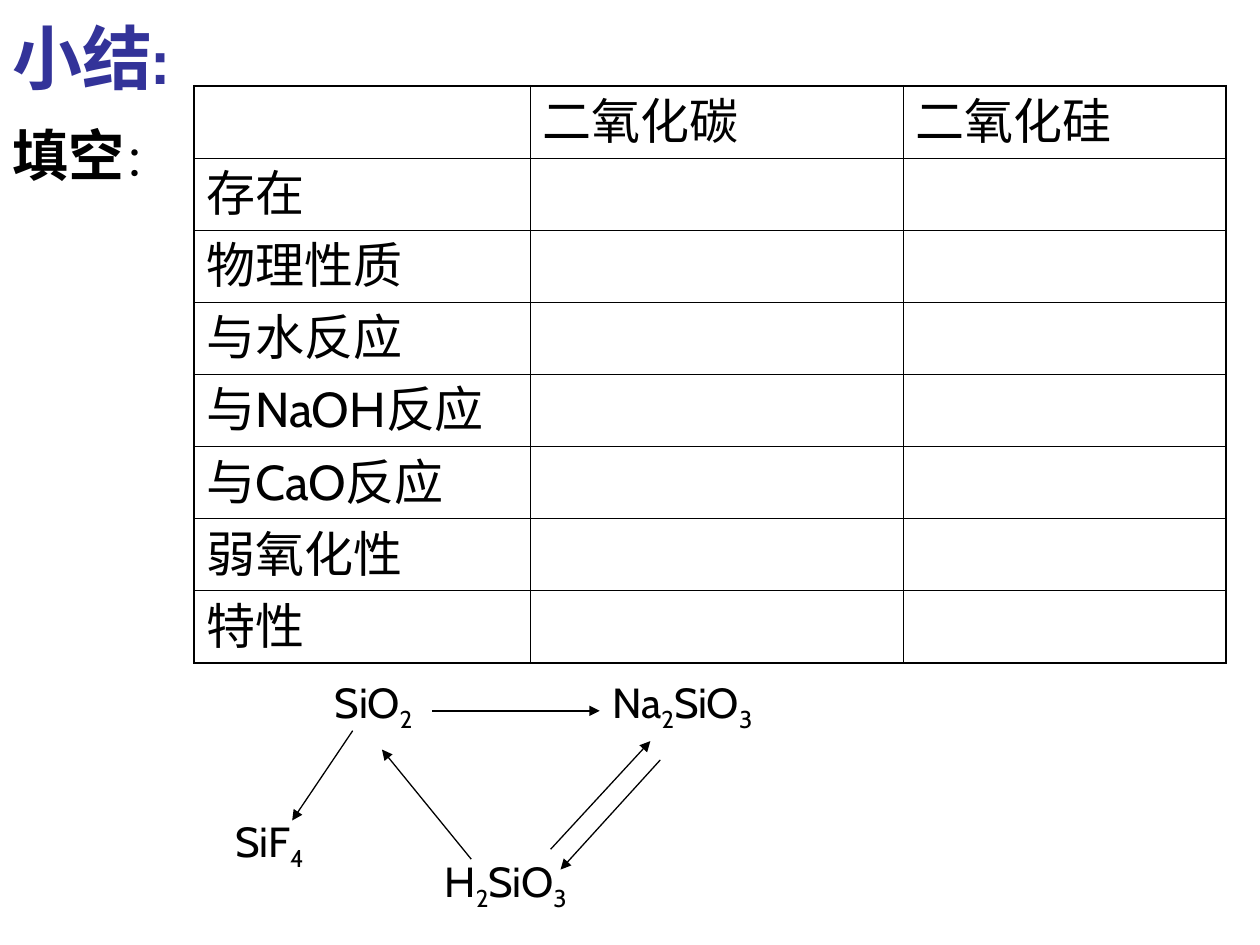
from dataclasses import dataclass

from lxml import etree
from pptx import Presentation
from pptx.dml.color import RGBColor
from pptx.enum.shapes import MSO_CONNECTOR
from pptx.enum.text import MSO_ANCHOR
from pptx.oxml.ns import qn
from pptx.util import Cm, Pt

STRAIGHT = MSO_CONNECTOR.STRAIGHT
TOP, BOTTOM = MSO_ANCHOR.TOP, MSO_ANCHOR.BOTTOM
FONT = "Cabin"
BLACK, NAVY = "000000", "333399"
OUTER_LINE, INNER_LINE = 1.08, 0.45


@dataclass
class Span:
    text: str
    size: float
    color: str = BLACK
    bold: bool = False
    subscript: bool = False


@dataclass
class Label:
    left: float
    top: float
    width: float
    height: float
    spans: list[Span]
    anchor: MSO_ANCHOR = TOP


@dataclass
class Arrow:
    start: tuple[float, float]
    end: tuple[float, float]


def rgb(color: str) -> RGBColor:
    return RGBColor.from_string(color)


def formula(text: str) -> list[Span]:
    """Split a formula such as Na_2SiO_3 into normal and subscript spans."""
    first, *others = text.split("_")
    spans = [Span(first, 24)]
    for part in others:
        spans.append(Span(part[0], 24, subscript=True))
        if part[1:]:
            spans.append(Span(part[1:], 24))
    return spans


def add_span(para, span: Span) -> None:
    run = para.add_run()
    run.text = span.text
    font = run.font
    font.name, font.size, font.bold = FONT, Pt(span.size), span.bold
    font.color.rgb = rgb(span.color)
    properties = run._r.get_or_add_rPr()
    etree.SubElement(properties, qn("a:ea"), typeface=FONT)
    if span.subscript:
        properties.set("baseline", "-25000")


def add_label(page, label: Label) -> None:
    box = page.shapes.add_textbox(
        Cm(label.left), Cm(label.top), Cm(label.width), Cm(label.height))
    frame = box.text_frame
    frame.word_wrap = True
    frame.vertical_anchor = label.anchor
    for span in label.spans:
        add_span(frame.paragraphs[0], span)


def add_arrow(page, arrow: Arrow) -> None:
    points = [Cm(value) for value in (*arrow.start, *arrow.end)]
    connector = page.shapes.add_connector(STRAIGHT, *points)
    connector.line.color.rgb = rgb(BLACK)
    connector.line.width = Pt(0.75)
    etree.SubElement(connector.line._get_or_add_ln(), qn("a:tailEnd"), type="triangle")
    etree.SubElement(connector._element.spPr, qn("a:effectLst"))


def add_border(cell, side: str, width: float) -> None:
    line = etree.SubElement(cell._tc.get_or_add_tcPr(), qn(f"a:ln{side}"), w=str(Pt(width)))
    fill = etree.SubElement(line, qn("a:solidFill"))
    etree.SubElement(fill, qn("a:srgbClr"), val=BLACK)


def add_comparison(page, rows: list[list[str]], widths: list[float], row_height: float) -> None:
    row_count, column_count = len(rows), len(widths)
    table = page.shapes.add_table(
        row_count, column_count, Cm(3.91), Cm(1.73),
        Cm(sum(widths)), Cm(row_height * row_count)).table
    table.first_row = table.horz_banding = False
    for column, width in zip(table.columns, widths):
        column.width = Cm(width)
    for r, texts in enumerate(rows):
        table.rows[r].height = Cm(row_height)
        for c, text in enumerate(texts):
            cell = table.cell(r, c)
            edges = {"L": c == 0, "R": c == column_count - 1,
                     "T": r == 0, "B": r == row_count - 1}
            for side, is_outer in edges.items():
                add_border(cell, side, OUTER_LINE if is_outer else INNER_LINE)
            cell.fill.background()
            if text:
                add_span(cell.text_frame.paragraphs[0], Span(text, 28))


LABELS = [
    Label(0, 0, 21.64, 2.11, [Span("小结:", 40, NAVY, bold=True)], BOTTOM),
    Label(0, 2.31, 6, 1.63, [Span("填空", 32, bold=True), Span("：", 24)]),
    Label(6.5, 13.51, 2.79, 1.42, formula("SiO_2")),
    Label(12.09, 13.51, 3.99, 1.42, formula("Na_2SiO_3")),
    Label(8.71, 17.12, 5.21, 1.42, formula("H_2SiO_3")),
    Label(4.5, 16.31, 2.21, 1.42, formula("SiF_4")),
]

ARROWS = [
    Arrow((8.71, 14.33), (12.09, 14.33)),
    Arrow((9.5, 17.32), (7.7, 15.11)),
    Arrow((11.1, 17.12), (13.11, 14.94)),
    Arrow((13.31, 15.32), (11.3, 17.53)),
    Arrow((7.11, 14.73), (5.89, 16.54)),
]

PROPERTIES = ["存在", "物理性质", "与水反应", "与NaOH反应", "与CaO反应", "弱氧化性", "特性"]


def main() -> None:
    deck = Presentation()
    deck.slide_width, deck.slide_height = Cm(25.4), Cm(19.05)
    page = deck.slides.add_slide(deck.slide_layouts[6])

    # Comparison table with blanks to fill in
    rows = [["", "二氧化碳", "二氧化硅"]] + [[name, "", ""] for name in PROPERTIES]
    add_comparison(page, rows, [6.78, 7.52, 6.5], 1.44)

    # Headings and reaction scheme
    for label in LABELS:
        add_label(page, label)
    for arrow in ARROWS:
        add_arrow(page, arrow)

    deck.save("out.pptx")


if __name__ == "__main__":
    main()
